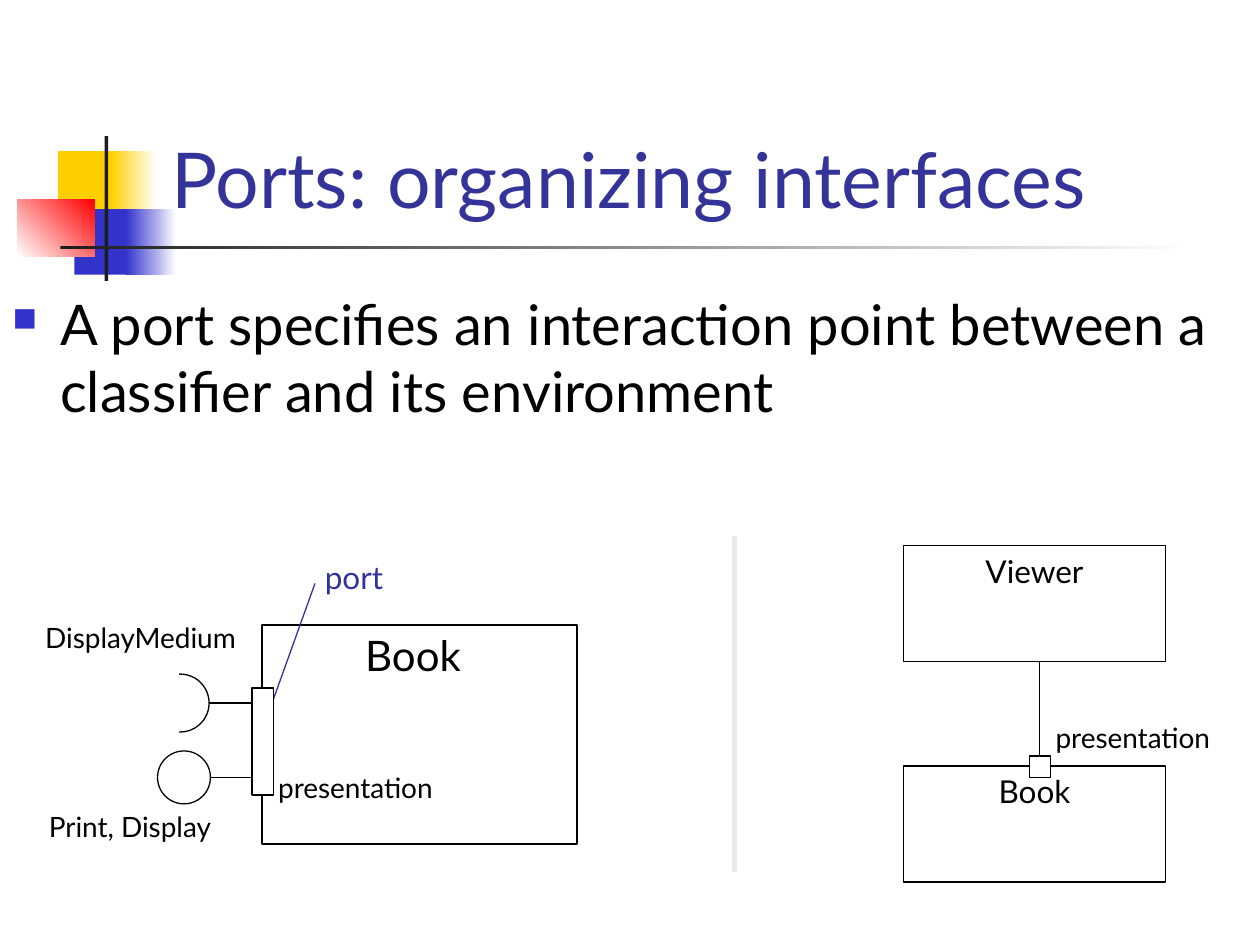
from lxml import etree
from pptx import Presentation
from pptx.dml.color import RGBColor
from pptx.enum.shapes import MSO_CONNECTOR, MSO_SHAPE
from pptx.enum.text import MSO_ANCHOR, MSO_AUTO_SIZE, PP_ALIGN
from pptx.oxml.ns import qn
from pptx.util import Pt

PX = 9144
FONT = "Lato"
RECT, OVAL = MSO_SHAPE.RECTANGLE, MSO_SHAPE.OVAL
STRAIGHT = MSO_CONNECTOR.STRAIGHT
TOP, BOTTOM = MSO_ANCHOR.TOP, MSO_ANCHOR.BOTTOM
LEFT, CENTER = PP_ALIGN.LEFT, PP_ALIGN.CENTER
NO_FIT, GROW = MSO_AUTO_SIZE.NONE, MSO_AUTO_SIZE.SHAPE_TO_FIT_TEXT
BLACK = RGBColor(0, 0, 0)
WHITE = RGBColor(255, 255, 255)
YELLOW = RGBColor(0xFF, 0xCF, 0x01)
BLUE = RGBColor(0x33, 0x33, 0xCC)
RED = RGBColor(0xFF, 0, 0)
CHARCOAL = RGBColor(0x1C, 0x1C, 0x1C)
INDIGO = RGBColor(0x33, 0x33, 0x99)
PALE_GRAY = RGBColor(0xEA, 0xEA, 0xEA)


def add_figure(kind, box, colors, outline=None, angle=0):
    figure = slide.shapes.add_shape(kind, *[v * PX for v in box])
    figure.shadow.inherit = False
    if len(colors) == 2:
        figure.fill.gradient()
        figure.fill.gradient_angle = angle
        for stop, color in zip(figure.fill.gradient_stops, colors):
            stop.color.rgb = color
    elif colors:
        figure.fill.solid()
        figure.fill.fore_color.rgb = colors[0]
    else:
        figure.fill.background()
    if outline is None:
        figure.line.fill.background()
    else:
        figure.line.color.rgb = outline
        figure.line.width = Pt(0.75)
    return figure


def write(frame, text, size, color, align=LEFT, anchor=TOP, wrap=False, fit=NO_FIT):
    frame.word_wrap = wrap
    frame.auto_size = fit
    frame.vertical_anchor = anchor
    frame.text = text
    paragraph = frame.paragraphs[0]
    paragraph.alignment = align
    paragraph.font.size = Pt(size)
    paragraph.font.name = FONT
    paragraph.font.color.rgb = color
    return paragraph


prs = Presentation()
prs.slide_width, prs.slide_height = 1000 * PX, 750 * PX
slide = prs.slides.add_slide(prs.slide_layouts[5])

for box, colors, angle in [
    ((46, 120, 48, 52), [YELLOW], 0),
    ((88, 120, 36, 52), [YELLOW, WHITE], 0),
    ((59, 166, 46, 52), [BLUE], 0),
    ((100, 166, 40, 52), [BLUE, WHITE], 0),
    ((14, 158, 61, 46), [WHITE, RED], 45),
    ((83, 108, 3, 115), [CHARCOAL], 0),
    ((48, 195, 900, 3), [CHARCOAL, WHITE], 0),
]:
    add_figure(RECT, box, colors, angle=angle)

title = slide.shapes.title
title.left, title.top, title.width, title.height = [v * PX for v in (126, 23, 852, 160)]
write(title.text_frame, "Ports: organizing interfaces", 44, INDIGO, anchor=BOTTOM, wrap=True)

definition = slide.shapes.add_textbox(0, 225 * PX, 1000 * PX, 165 * PX)
statement = write(
    definition.text_frame,
    "A port specifies an interaction point between a classifier and its environment",
    32, BLACK, wrap=True)
statement.space_before = Pt(8)
bullet = statement._p.get_or_add_pPr()
bullet.set("marL", str(38 * PX))
bullet.set("indent", str(-38 * PX))
bullet_color = etree.SubElement(bullet, qn("a:buClr"))
etree.SubElement(bullet_color, qn("a:srgbClr")).set("val", str(BLUE))
etree.SubElement(bullet, qn("a:buSzPct")).set("val", "60000")
etree.SubElement(bullet, qn("a:buChar")).set("char", "■")

add_figure(RECT, (208, 496, 250, 174), [], BLACK)

for start, end, color, width in [
    ((200, 558), (166, 558), BLACK, 0.75),
    ((200, 617), (167, 617), BLACK, 0.75),
    ((217, 555), (250, 463), INDIGO, 0.75),
    ((825, 600), (825, 525), BLACK, 0.75),
    ((583, 425), (583, 692), PALE_GRAY, 3),
]:
    link = slide.shapes.add_connector(STRAIGHT, *[v * PX for v in start + end])
    link.line.color.rgb = color
    link.line.width = Pt(width)
    etree.SubElement(link._element.spPr, qn("a:effectLst"))

add_figure(OVAL, (120, 535, 46, 46), [], BLACK)
add_figure(RECT, (108, 530, 34, 57), [WHITE])
add_figure(OVAL, (125, 596, 42, 42), [WHITE], BLACK)
add_figure(RECT, (200, 546, 17, 85), [WHITE], BLACK)

for name, top in [("Viewer", 433), ("Book", 608)]:
    classifier = add_figure(RECT, (717, top, 208, 92), [WHITE], BLACK)
    write(classifier.text_frame, name, 18, BLACK, align=CENTER)
add_figure(RECT, (817, 600, 17, 17), [WHITE], BLACK)

for text, box, size, color in [
    ("DisplayMedium", (26, 488, 182, 37), 16, BLACK),
    ("Print, Display", (29, 638, 157, 37), 16, BLACK),
    ("Book", (280, 495, 100, 50), 24, BLACK),
    ("presentation", (211, 607, 153, 37), 16, BLACK),
    ("port", (248, 438, 70, 40), 18, INDIGO),
    ("presentation", (828, 567, 153, 37), 16, BLACK),
]:
    label = slide.shapes.add_textbox(*[v * PX for v in box])
    write(label.text_frame, text, size, color, fit=GROW)

prs.save("out.pptx")
